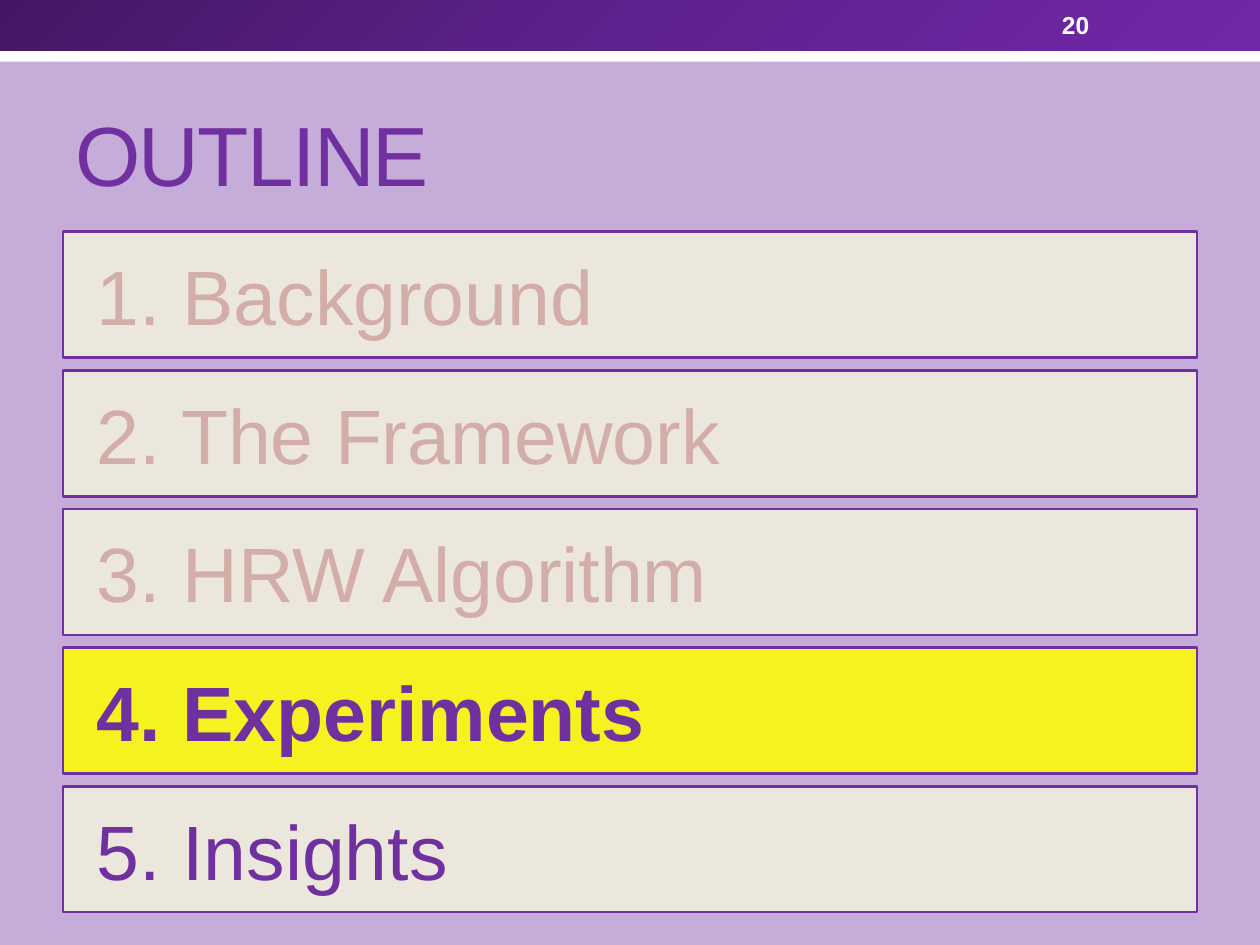
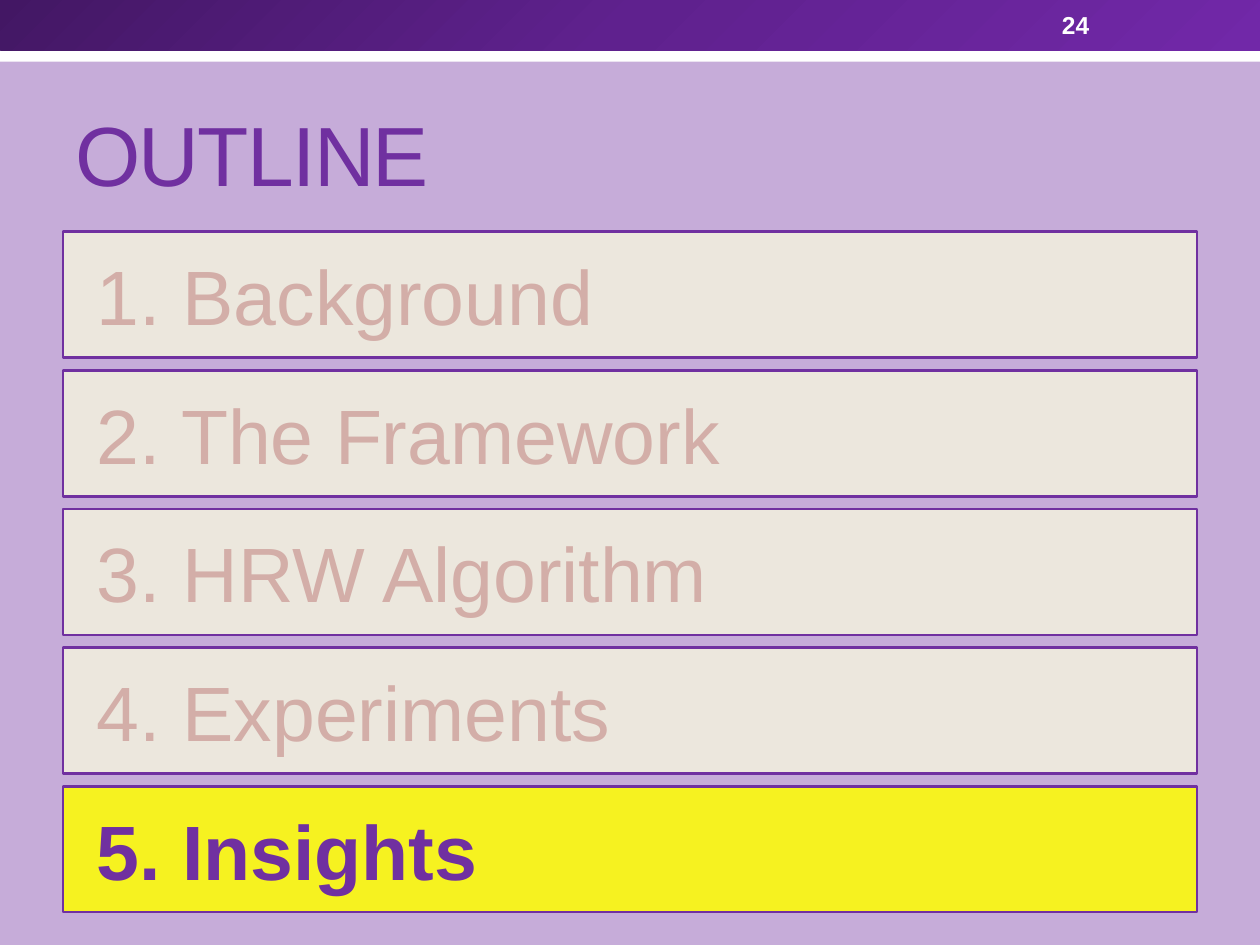
import copy

import pptx
import pptx.dml.color
import pptx.enum.dml
import pptx.enum.shapes
import pptx.enum.text
import pptx.oxml.ns
import pptx.util
from lxml import etree

Inches = pptx.util.Inches
Pt = pptx.util.Pt
ANCHOR = pptx.enum.text.MSO_ANCHOR

TITLE = "OUTLINE"
TOPICS = ["Background", "The Framework", "HRW Algorithm", "Experiments", "Insights"]
OUTLINES = [
    {"page": "20", "current": 4},
    {"page": "24", "current": 5},
]

PURPLE = "7030A0"
LAVENDER = "C6ACD9"
WHITE = "FFFFFF"
BAND_STOPS = [(0, "431764"), (0.5, "5F218E"), (1, "7128A8")]
TOPIC_FILL, CURRENT_FILL = "F3F2DE", "FFFF00"
DONE_TEXT = "D3AEA8"

TITLE_FONT = {"size": Pt(48), "name": "Arial"}
PAGE_FONT = {"size": Pt(14), "name": "Arial", "bold": True}
TOPIC_FONT = {"size": Pt(44), "name": "Arial"}

LEFT, WIDTH = 0.5, 9
FIRST_TOP, TOPIC_HEIGHT, TOPIC_GAP = 1.84, 1, 0.1
TOPIC_INSET = 0.27
OPACITY = 85


def rgb(value):
    return pptx.dml.color.RGBColor.from_string(value)


def write(shape, text, font, color, anchor, inset=0.1):
    frame = shape.text_frame
    frame.word_wrap = True
    frame.vertical_anchor = anchor
    frame.margin_left = Inches(inset)
    paragraph = frame.paragraphs[0]
    paragraph.alignment = pptx.enum.text.PP_ALIGN.LEFT
    run = paragraph.add_run()
    run.text = text
    for key, value in font.items():
        setattr(run.font, key, value)
    run.font.color.rgb = rgb(color)
    return run


def add_label(slide, place, *text_format):
    label = slide.shapes.add_textbox(*map(Inches, place))
    return write(label, *text_format)


def add_bar(slide, place, fill):
    bar = slide.shapes.add_shape(pptx.enum.shapes.MSO_SHAPE.RECTANGLE, *map(Inches, place))
    bar.shadow.inherit = False
    bar.fill.solid()
    bar.fill.fore_color.rgb = rgb(fill)
    bar.line.fill.background()
    return bar


def shade(band):
    band.fill.gradient()
    band.fill.gradient_angle = 315
    stop_list = band._element.spPr.find(".//" + pptx.oxml.ns.qn("a:gsLst"))
    stop_list.insert(1, copy.deepcopy(stop_list[0]))
    for stop, (position, color) in zip(band.fill.gradient_stops, BAND_STOPS):
        stop.position = position
        stop.color.rgb = rgb(color)


def make_translucent(bar):
    color = bar._element.spPr.find(pptx.oxml.ns.qn("a:solidFill"))[0]
    etree.SubElement(color, pptx.oxml.ns.qn("a:alpha"), val=str(OPACITY * 1000))


def add_frame(slide, page):
    slide.background.fill.solid()
    slide.background.fill.fore_color.rgb = rgb(LAVENDER)
    add_bar(slide, (0, 0.24, 10, 0.25), WHITE)
    shade(add_bar(slide, (0, 0, 10, 0.4), PURPLE))
    title = add_label(slide, (LEFT, 0.58, WIDTH, 1.08), TITLE, TITLE_FONT, PURPLE, ANCHOR.BOTTOM)
    title._r.get_or_add_rPr().set("spc", "-100")
    add_label(slide, (8.33, 0.02, 1.17, 0.36), page, PAGE_FONT, WHITE, ANCHOR.MIDDLE)


def add_topic(slide, number, topic, current):
    top = FIRST_TOP + (number - 1) * (TOPIC_HEIGHT + TOPIC_GAP)
    is_current = number == current
    bar = add_bar(slide, (LEFT, top, WIDTH, TOPIC_HEIGHT),
                  CURRENT_FILL if is_current else TOPIC_FILL)
    make_translucent(bar)
    bar.line.color.rgb = rgb(PURPLE)
    bar.line.width = Pt(1.5)
    write(bar, f"{number}. {topic}", {**TOPIC_FONT, "bold": is_current},
          DONE_TEXT if number < current else PURPLE, ANCHOR.MIDDLE, TOPIC_INSET)


def main():
    deck = pptx.Presentation()
    deck.slide_width, deck.slide_height = Inches(10), Inches(7.5)
    for outline in OUTLINES:
        slide = deck.slides.add_slide(deck.slide_layouts[6])
        add_frame(slide, outline["page"])
        for number, topic in enumerate(TOPICS, 1):
            add_topic(slide, number, topic, outline["current"])
    deck.save("out.pptx")


if __name__ == "__main__":
    main()
